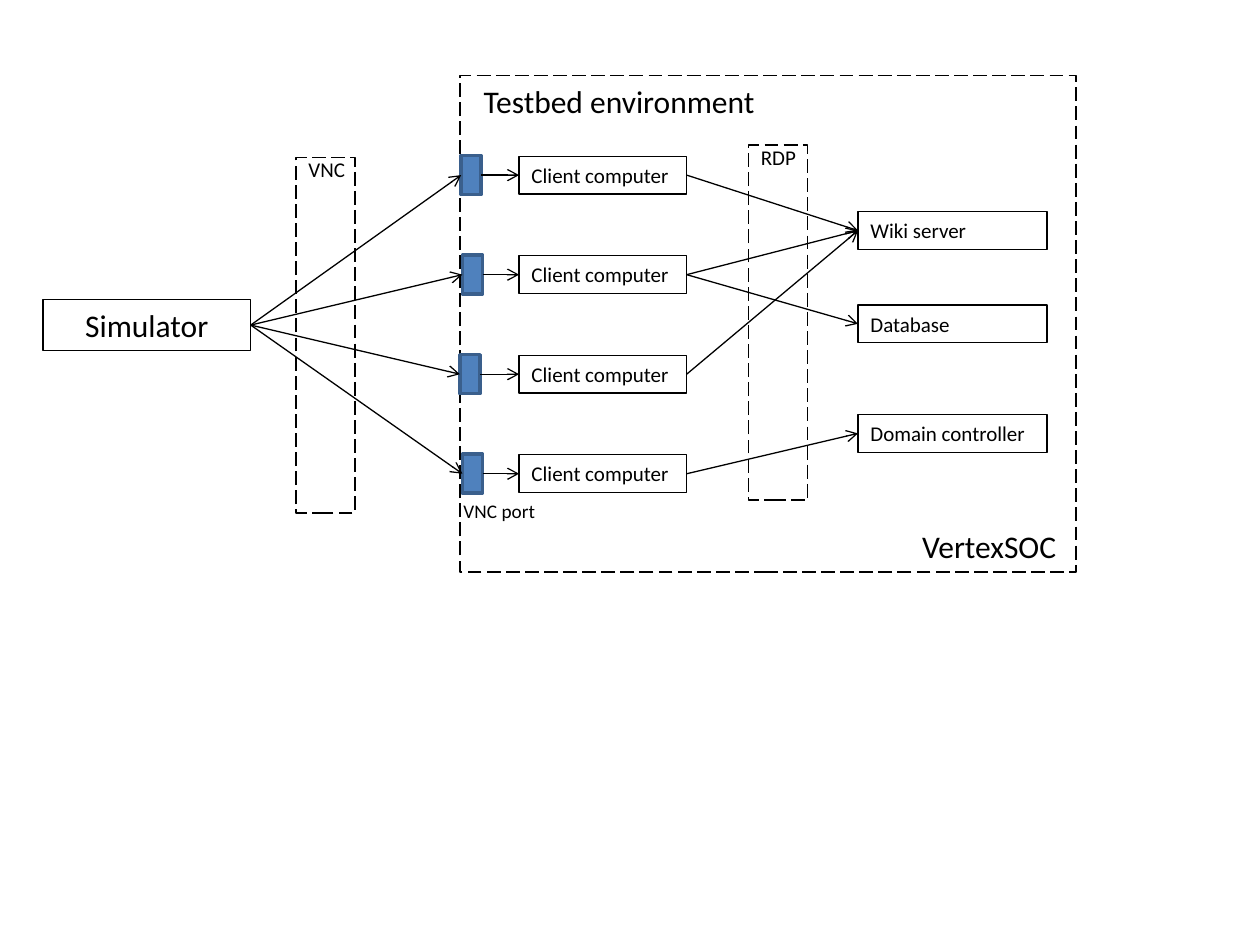
"""Build a slide showing a simulator driving a testbed of clients and servers."""
import pptx
import pptx.util
import pptx.dml.color
import pptx.enum.dml
import pptx.enum.shapes
import pptx.enum.text
import pptx.oxml.ns
from lxml import etree

Inches = pptx.util.Inches
Align = pptx.enum.text.PP_ALIGN
TOP, LEFT, BOTTOM, RIGHT = range(4)
FONT = "Calibri"
BLACK, WHITE, BLUE, DARK_BLUE = "000000", "FFFFFF", "4F81BD", "3A5F8C"

TESTBED_FRAME = (3.65, 0.6, 4.89, 3.94)
PROTOCOL_FRAMES = [(5.94, 1.15, 0.47, 2.82), (2.35, 1.25, 0.47, 2.82)]
LABELS = [
    ("VertexSOC", 18, (7.22, 4.13, 1.34, 0.4)),
    ("Testbed environment", 18, (3.74, 0.6, 2.44, 0.4)),
    ("VNC port", 11, (3.58, 3.91, 1.01, 0.29)),
    ("RDP", 12, (5.94, 1.1, 0.63, 0.3)),
    ("VNC", 12, (2.35, 1.19, 0.53, 0.3)),
]
SIMULATOR = ("Simulator", 18, (0.34, 2.38, 1.65, 0.4))
SERVERS = [("Wiki server", 1.68), ("Database", 2.42), ("Domain controller", 3.29)]
SERVER_LEFT, SERVER_WIDTH = 6.81, 1.5
CLIENT_TEXT, CLIENT_LEFT, CLIENT_WIDTH = "Client computer", 4.12, 1.33
NODE_HEIGHT = 0.3
PORT_LEFTS, PORT_WIDTH, PORT_HEIGHT = [3.66, 3.67, 3.65, 3.67], 0.16, 0.31
FIRST_ROW, ROW_PITCH = 1.39, 0.79
CLIENT_LINKS = [(0, 0), (1, 1), (1, 0), (2, 0), (3, 2)]


def color(value):
    return pptx.dml.color.RGBColor.from_string(value)


def write(shape, text, size, align=Align.LEFT):
    frame = shape.text_frame
    frame.word_wrap = True
    frame.vertical_anchor = pptx.enum.text.MSO_ANCHOR.TOP
    para = frame.paragraphs[0]
    para.alignment = align
    span = para.add_run()
    span.text = text
    span.font.size = pptx.util.Pt(size)
    span.font.name = FONT
    span.font.color.rgb = color(BLACK)


def add_box(page, place, line=BLACK, width=0.75, fill=None, dashed=False):
    box = page.shapes.add_shape(
        pptx.enum.shapes.MSO_SHAPE.RECTANGLE, *map(Inches, place))
    box.shadow.inherit = False
    if fill:
        box.fill.solid()
        box.fill.fore_color.rgb = color(fill)
    else:
        box.fill.background()
    box.line.color.rgb = color(line)
    box.line.width = pptx.util.Pt(width)
    if dashed:
        box.line.dash_style = pptx.enum.dml.MSO_LINE.LONG_DASH
    return box


def add_node(page, text, size, place, align=Align.LEFT):
    node = add_box(page, place)
    write(node, text, size, align)
    return node


def add_arrow(page, source, target):
    arrow = page.shapes.add_connector(
        pptx.enum.shapes.MSO_CONNECTOR.STRAIGHT, 0, 0, 0, 0)
    arrow.begin_connect(source, RIGHT)
    arrow.end_connect(target, LEFT)
    arrow.line.color.rgb = color(BLACK)
    arrow.line.width = pptx.util.Pt(0.75)
    name = pptx.oxml.ns.qn
    etree.SubElement(arrow.line._get_or_add_ln(), name("a:tailEnd"), type="arrow")
    etree.SubElement(arrow._element.spPr, name("a:effectLst"))


def main():
    deck = pptx.Presentation()
    deck.slide_width, deck.slide_height = Inches(10), Inches(7.5)
    page = deck.slides.add_slide(deck.slide_layouts[6])

    add_box(page, TESTBED_FRAME, width=1, fill=WHITE, dashed=True)
    simulator = add_node(page, *SIMULATOR, align=Align.CENTER)
    servers = [
        add_node(page, text, 12, (SERVER_LEFT, top, SERVER_WIDTH, NODE_HEIGHT))
        for text, top in SERVERS
    ]

    clients = []
    for row, port_left in enumerate(PORT_LEFTS):
        middle = FIRST_ROW + row * ROW_PITCH
        port = add_box(
            page, (port_left, middle - PORT_HEIGHT / 2, PORT_WIDTH, PORT_HEIGHT),
            DARK_BLUE, 2, BLUE)
        client = add_node(
            page, CLIENT_TEXT, 12,
            (CLIENT_LEFT, middle - NODE_HEIGHT / 2, CLIENT_WIDTH, NODE_HEIGHT))
        add_arrow(page, simulator, port)
        add_arrow(page, port, client)
        clients.append(client)

    for client, server in CLIENT_LINKS:
        add_arrow(page, clients[client], servers[server])
    for place in PROTOCOL_FRAMES:
        add_box(page, place, width=1, dashed=True)
    for text, size, place in LABELS:
        write(page.shapes.add_textbox(*map(Inches, place)), text, size)

    deck.save("out.pptx")


if __name__ == "__main__":
    main()
